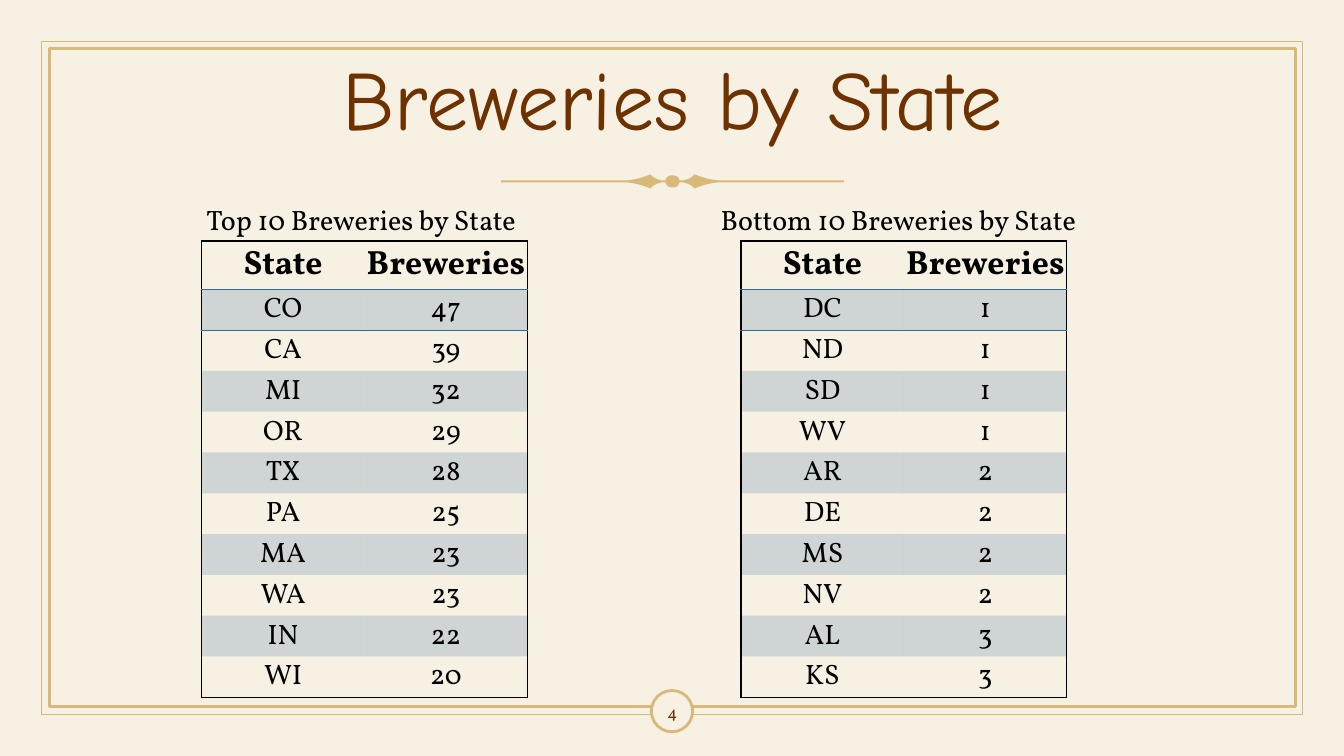
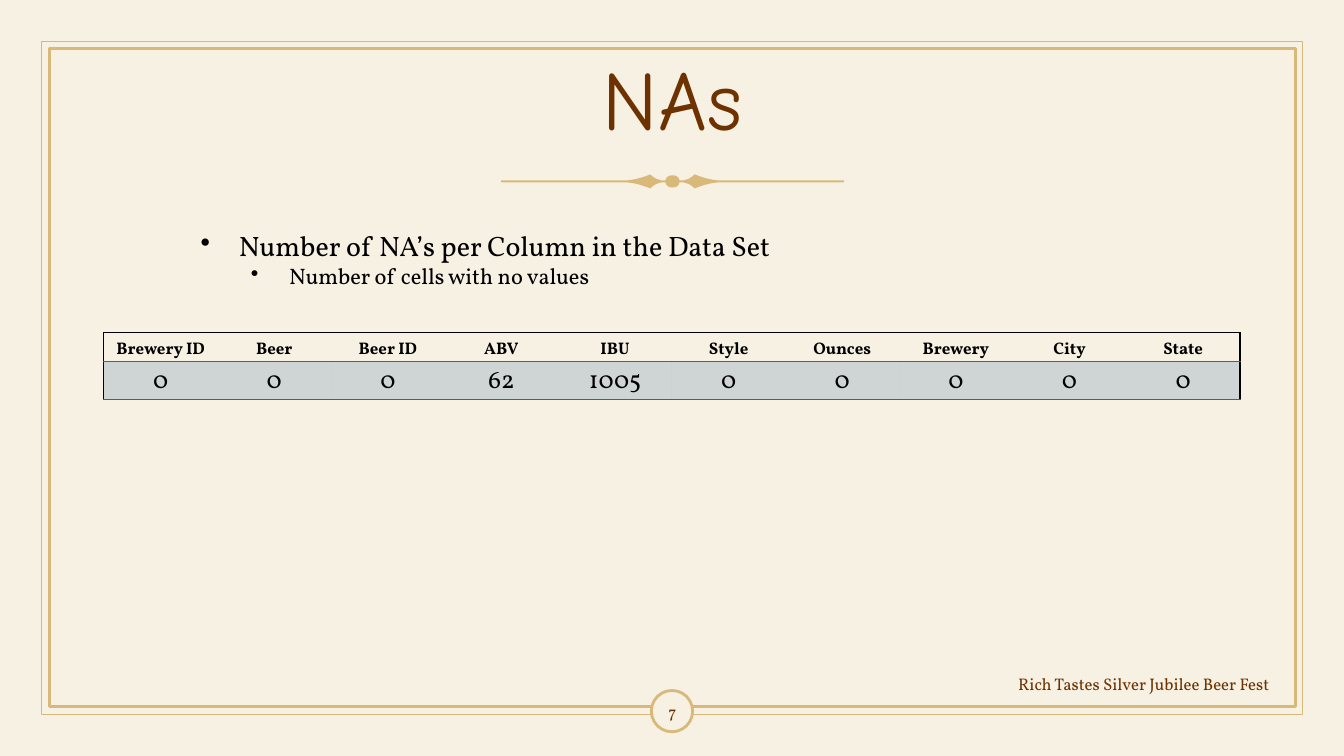
from dataclasses import dataclass

from lxml import etree
from pptx import Presentation, util as u
from pptx.dml import color
from pptx.enum import shapes, text
from pptx.oxml import ns


@dataclass(frozen=True)
class Theme:
    cream = color.RGBColor.from_string("F7F1E4")
    gold = color.RGBColor.from_string("D8B97A")
    brown = color.RGBColor.from_string("6D3200")
    blue = color.RGBColor.from_string("306994")
    black = color.RGBColor.from_string("000000")
    title_font = "Comic Neue"
    body_font = "Vollkorn"
    title_size = 60
    header_size = 24
    body_size = 20
    figure_size = 18
    detail_size = 16
    small_size = 12
    band_opacity = 20


theme = Theme()
align = text.PP_ALIGN
anchor = text.MSO_ANCHOR
NO_STYLE = "{2D5ABB26-0587-4C30-8999-92F81FD0307C}"


def write(para, words, size=theme.body_size, font=theme.body_font, colour=theme.black,
          bold=False, side=align.LEFT, bullet_left=None):
    """Put formatted words in a paragraph, with a hanging bullet if asked."""
    para.alignment = side
    span = para.add_run()
    span.text = words
    span.font.size = u.Pt(size)
    span.font.name = font
    span.font.color.rgb = colour
    span.font.bold = bold
    if bullet_left is not None:
        props = para._p.get_or_add_pPr()
        props.set("marL", str(u.Inches(bullet_left)))
        props.set("indent", str(u.Inches(-0.38)))
        etree.SubElement(props, ns.qn("a:buChar")).set("char", "•")


def add_grid(page, place, rows, header_height, header_size, body_size, bottom):
    """Add a boxed table with a ruled header and tinted odd rows."""
    left, top, width, height = map(u.Inches, place)
    row_count, column_count = len(rows), len(rows[0])
    grid = page.shapes.add_table(row_count, column_count, left, top, width, height).table
    grid.first_row = grid.horz_banding = False
    grid._tbl.tblPr.find(ns.qn("a:tableStyleId")).text = NO_STYLE
    for column in grid.columns:
        column.width = width // column_count
    header = u.Inches(header_height)
    for r, row in enumerate(rows):
        grid.rows[r].height = header if r == 0 else (height - header) // (row_count - 1)
        for c, words in enumerate(row):
            cell = grid.cell(r, c)
            cell.vertical_anchor = anchor.BOTTOM
            cell.margin_left = cell.margin_right = cell.margin_top = u.Inches(0.01)
            cell.margin_bottom = 0
            write(cell.text_frame.paragraphs[0], words, bold=r == 0, side=align.CENTER,
                  size=header_size if r == 0 else body_size)
            props = cell._tc.get_or_add_tcPr()
            if r % 2:
                cell.fill.solid()
                cell.fill.fore_color.rgb = theme.blue
                tint = props.find(".//" + ns.qn("a:srgbClr"))
                etree.SubElement(tint, ns.qn("a:alpha")).set("val", str(theme.band_opacity * 1000))
            else:
                cell.fill.background()
            edges = {
                "a:lnL": theme.black if c == 0 else None,
                "a:lnR": theme.black if c == column_count - 1 else None,
                "a:lnT": theme.black if r == 0 else theme.blue if r == 1 else None,
                "a:lnB": theme.blue if r == 0 else bottom if r == row_count - 1 else None,
            }
            drawn = [(tag, colour) for tag, colour in edges.items() if colour is not None]
            for position, (tag, colour) in enumerate(drawn):
                edge = etree.Element(ns.qn(tag), w=str(u.Pt(1)))
                paint = etree.SubElement(edge, ns.qn("a:solidFill"))
                etree.SubElement(paint, ns.qn("a:srgbClr")).set("val", str(colour))
                props.insert(position, edge)


deck = Presentation()
deck.slide_width, deck.slide_height = u.Inches(13.33), u.Inches(7.5)
backdrop = deck.slide_master.background.fill
backdrop.solid()
backdrop.fore_color.rgb = theme.cream

# Ornament outline: one quarter from cubic curves, mirrored twice
centre_x, centre_y = 6.67, 1.8
curves = [
    [(-0.45, -0.01), (-0.33, -0.02), (-0.22, -0.07), (-0.22, -0.07)],
    [(-0.22, -0.07), (-0.17, -0.02), (-0.14, -0.02), (-0.11, -0.01)],
    [(-0.07, -0.01), (-0.06, -0.05), (-0.03, -0.06), (0, -0.06)],
]
quarter = [(-1.7, -0.01)]
for a, b, c, d in curves:
    for step in range(9):
        t = step / 8
        weights = ((1 - t) ** 3, 3 * t * (1 - t) ** 2, 3 * t * t * (1 - t), t ** 3)
        quarter.append(tuple(sum(w * p[axis] for w, p in zip(weights, (a, b, c, d)))
                             for axis in (0, 1)))
upper = quarter + [(-x, y) for x, y in reversed(quarter)]
outline = [(u.Inches(centre_x + x), u.Inches(centre_y + y))
           for x, y in upper + [(x, -y) for x, y in reversed(upper)]]

# Frame, ornament, title and page number of every slide
frame_parts = [
    (shapes.MSO_SHAPE.RECTANGLE, (0.41, 0.41, 12.51, 6.68), 1, False),
    (shapes.MSO_SHAPE.RECTANGLE, (0.49, 0.48, 12.36, 6.53), 2, False),
    (shapes.MSO_SHAPE.OVAL, (6.46, 6.85, 0.41, 0.41), 2, True),
]
pages = []
for title_words, number in [("Breweries by State", "4"), ("NAs", "7")]:
    page = deck.slides.add_slide(deck.slide_layouts[5])
    pages.append(page)
    for kind, place, weight, filled in frame_parts:
        part = page.shapes.add_shape(kind, *map(u.Inches, place))
        part.shadow.inherit = False
        part.line.color.rgb = theme.gold
        part.line.width = u.Pt(weight)
        if filled:
            part.fill.solid()
            part.fill.fore_color.rgb = theme.cream
        else:
            part.fill.background()

    builder = page.shapes.build_freeform(*outline[0])
    builder.add_line_segments(outline[1:], close=True)
    ornament = builder.convert_to_shape()
    ornament.shadow.inherit = False
    ornament.fill.solid()
    ornament.fill.fore_color.rgb = theme.gold
    ornament.line.fill.background()

    title = page.shapes.title
    title.left, title.top, title.width, title.height = map(u.Inches, (0.92, 0.53, 11.5, 0.99))
    title.text_frame.auto_size = text.MSO_AUTO_SIZE.NONE
    title.text_frame.vertical_anchor = anchor.MIDDLE
    heading = title.text_frame.paragraphs[0]
    heading.line_spacing = 0.9
    write(heading, title_words, size=theme.title_size, font=theme.title_font,
          colour=theme.brown, side=align.CENTER)

    box = page.shapes.add_textbox(*map(u.Inches, (6.37, 6.86, 0.6, 0.4)))
    box.text_frame.word_wrap = True
    box.text_frame.vertical_anchor = anchor.MIDDLE
    write(box.text_frame.paragraphs[0], number, size=theme.small_size,
          colour=theme.brown, side=align.CENTER)

states_page, gaps_page = pages

# Breweries by state: two captioned tables
top_states = [("CO", "47"), ("CA", "39"), ("MI", "32"), ("OR", "29"), ("TX", "28"),
              ("PA", "25"), ("MA", "23"), ("WA", "23"), ("IN", "22"), ("WI", "20")]
bottom_states = [("DC", "1"), ("ND", "1"), ("SD", "1"), ("WV", "1"), ("AR", "2"),
                 ("DE", "2"), ("MS", "2"), ("NV", "2"), ("AL", "3"), ("KS", "3")]
for caption, caption_left, caption_width, table_left, states in [
    ("Top 10 Breweries by State", 1.95, 3.4, 2, top_states),
    ("Bottom 10 Breweries by State", 7.05, 3.82, 7.35, bottom_states),
]:
    add_grid(states_page, (table_left, 2.39, 3.23, 4.53), [("State", "Breweries")] + states,
             header_height=0.48, header_size=theme.header_size,
             body_size=theme.body_size, bottom=theme.black)
    box = states_page.shapes.add_textbox(
        *map(u.Inches, (caption_left, 1.96, caption_width, 0.44)))
    box.text_frame.word_wrap = True
    write(box.text_frame.paragraphs[0], caption)

# Missing values: one wide table, two bullets and a footer
missing = {"Brewery ID": "0", "Beer": "0", "Beer ID": "0", "ABV": "62", "IBU": "1005",
           "Style": "0", "Ounces": "0", "Brewery": "0", "City": "0", "State": "0"}
add_grid(gaps_page, (1.03, 3.3, 11.27, 0.66), [list(missing), list(missing.values())],
         header_height=0.29, header_size=theme.small_size,
         body_size=theme.figure_size, bottom=theme.blue)

box = gaps_page.shapes.add_textbox(*map(u.Inches, (1.89, 2.22, 6.11, 0.71)))
box.text_frame.word_wrap = True
write(box.text_frame.paragraphs[0], "Number of NA’s per Column in the Data Set", bullet_left=0.38)
detail = box.text_frame.add_paragraph()
detail.level = 1
write(detail, "Number of cells with no values", size=theme.detail_size, bullet_left=0.88)

footer = gaps_page.shapes.add_textbox(*map(u.Inches, (8.97, 6.58, 3.72, 0.4)))
footer.text_frame.word_wrap = True
footer.text_frame.vertical_anchor = anchor.MIDDLE
write(footer.text_frame.paragraphs[0], "Rich Tastes Silver Jubilee Beer Fest",
      size=theme.small_size, colour=theme.brown, side=align.RIGHT)

deck.save("out.pptx")
